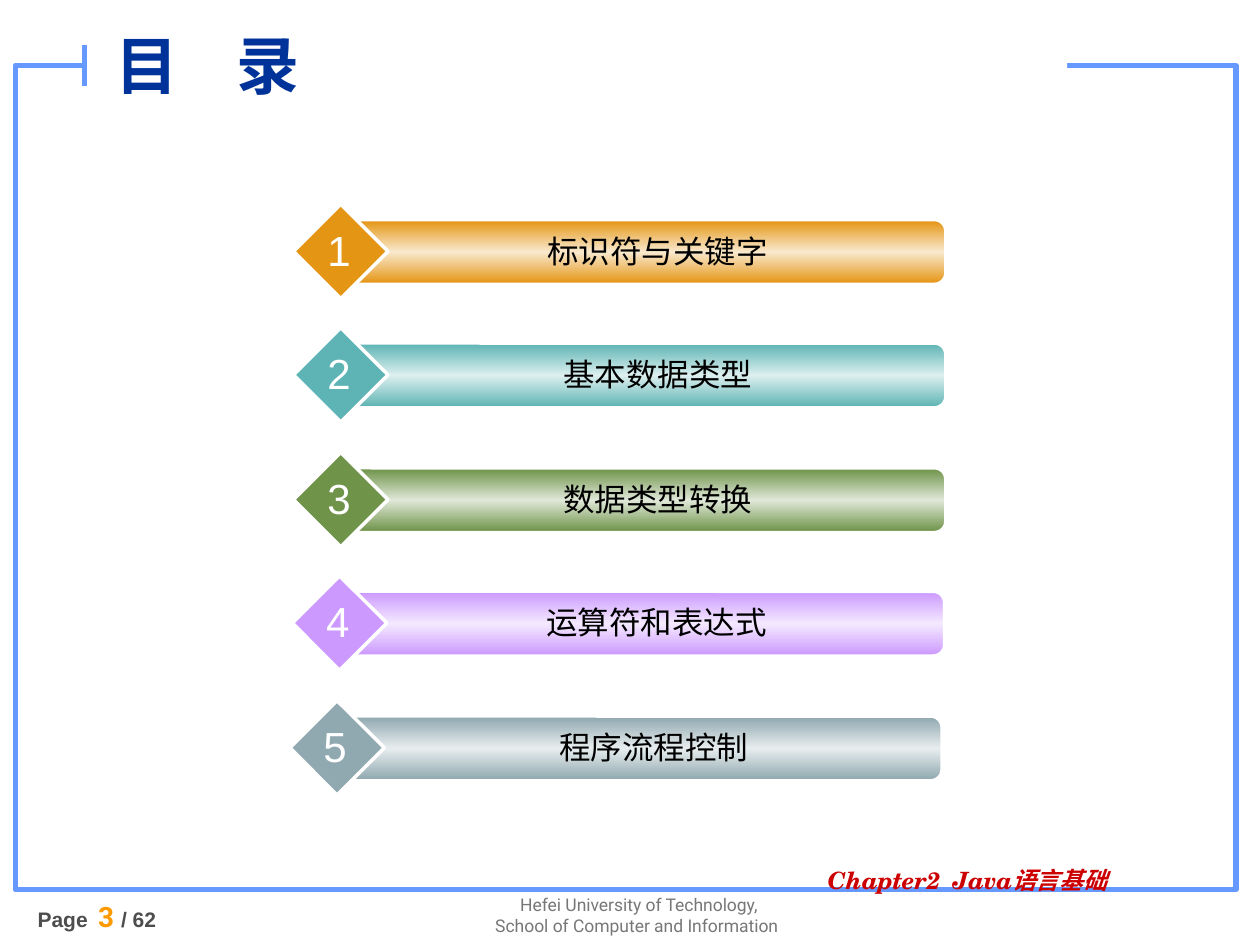
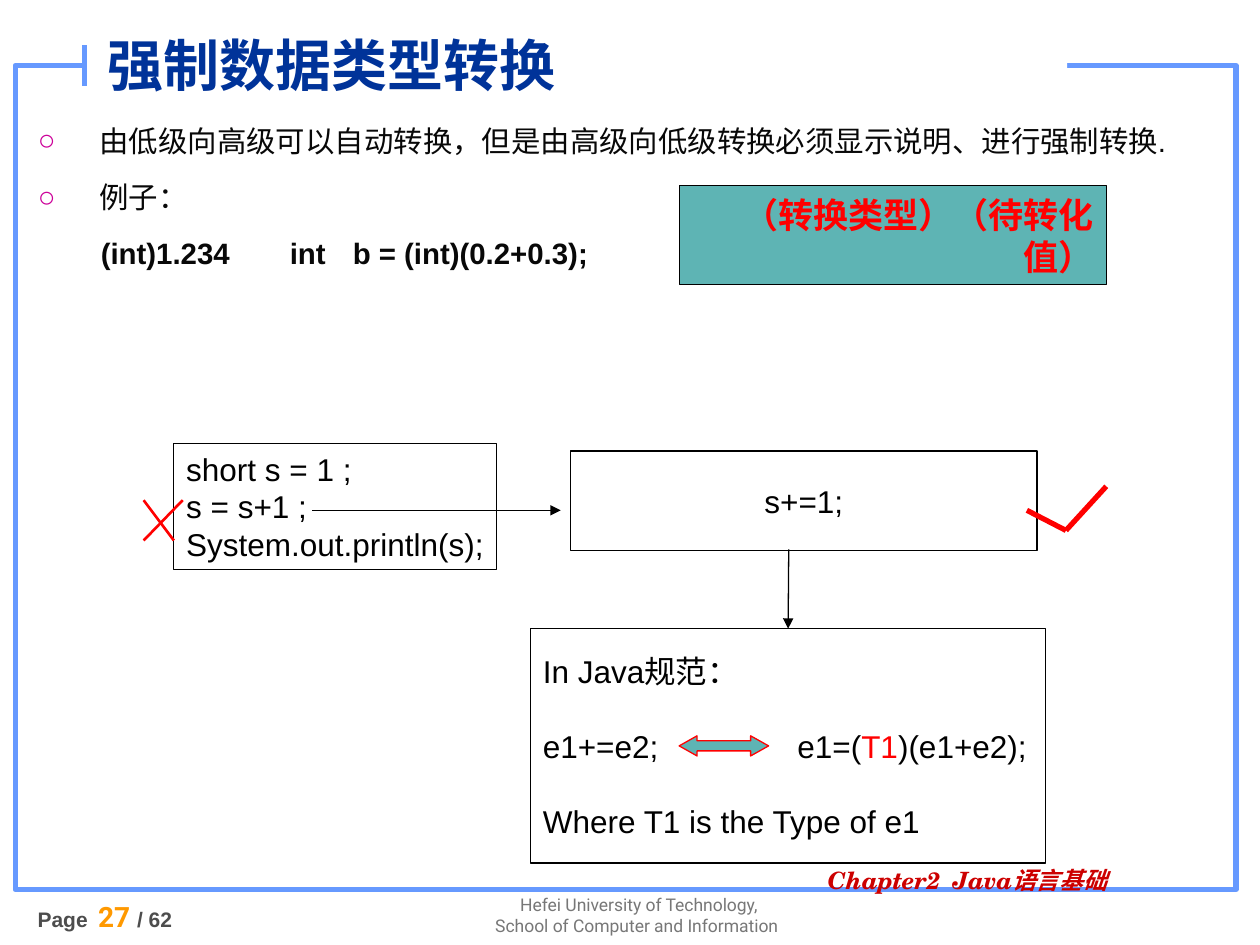
"""Build a contents slide and a type-casting slide of a Java course."""
from copy import deepcopy

from lxml import etree
from pptx import Presentation
from pptx.dml.color import RGBColor
from pptx.enum.shapes import MSO_CONNECTOR, MSO_SHAPE
from pptx.enum.text import MSO_ANCHOR, MSO_AUTO_SIZE, PP_ALIGN
from pptx.oxml.ns import qn
from pptx.util import Pt

EMU_PER_PX = 9144
TITLE_ONLY, TITLE_AND_BODY = 5, 1
TOP_SIDE = 0
STRAIGHT = MSO_CONNECTOR.STRAIGHT
RECT, ROUND_RECT = MSO_SHAPE.RECTANGLE, MSO_SHAPE.ROUNDED_RECTANGLE
DIAMOND, DOUBLE_ARROW = MSO_SHAPE.DIAMOND, MSO_SHAPE.LEFT_RIGHT_ARROW
LEFT, CENTER, RIGHT = PP_ALIGN.LEFT, PP_ALIGN.CENTER, PP_ALIGN.RIGHT
TOP, MIDDLE = MSO_ANCHOR.TOP, MSO_ANCHOR.MIDDLE
NO_AUTOFIT = MSO_AUTO_SIZE.NONE

ARIAL, ROBOTO, SCHOLA, CJK = "Arial", "Roboto", "TeX Gyre Schola", "Noto Sans CJK SC"
COLORS = {
    "white": "FFFFFF", "black": "000000", "red": "FF0000",
    "frame": "6699FF", "title": "003399", "body": "080808", "bullet": "CC0099",
    "school": "777777", "page": "4D4D4D", "number": "FF9900", "chapter": "CC0000",
    "orange": "E49514", "orange_pale": "F9E9CD",
    "teal": "5EB4B4", "teal_pale": "DDEFEF",
    "green": "6E9349", "green_pale": "E0E8D8",
    "violet": "CC99FF", "violet_pale": "F4E9FF",
    "slate": "90A8B0", "slate_pale": "E7EDEE",
}
TOPICS = [
    ("标识符与关键字", "orange", 275),
    ("基本数据类型", "teal", 275),
    ("数据类型转换", "green", 275),
    ("运算符和表达式", "violet", 274),
    ("程序流程控制", "slate", 272),
]
FIRST_BAR_TOP, BAR_PITCH = 175, 98.4
PAGE_COUNT = 62


def px(length):
    """Turn px into EMU."""
    return round(length * EMU_PER_PX)


def rgb(name):
    """Look up a named colour."""
    return RGBColor.from_string(COLORS[name])


def add_span(para, text, size=18, font=ARIAL, color="black", bold=False, italic=False):
    """Add formatted text to a paragraph."""
    span = para.add_run()
    span.text = text
    span.font.size = Pt(size)
    span.font.name = font
    span.font.color.rgb = rgb(color)
    span.font.bold = bold
    span.font.italic = italic


def set_tabs(para, stops):
    """Give a paragraph left tab stops."""
    tab_list = etree.SubElement(para._p.get_or_add_pPr(), qn("a:tabLst"))
    for stop in stops:
        etree.SubElement(tab_list, qn("a:tab"), pos=str(px(stop)), algn="l")


def set_bullet(para, char=None, indent=0):
    """Set a bullet with a hanging indent, or none."""
    props = para._p.get_or_add_pPr()
    props.set("marL", str(px(indent)))
    props.set("indent", str(-px(indent)))
    if char is None:
        etree.SubElement(props, qn("a:buNone"))
        return
    bullet_color = etree.SubElement(props, qn("a:buClr"))
    etree.SubElement(bullet_color, qn("a:srgbClr"), val=COLORS["bullet"])
    etree.SubElement(props, qn("a:buFont"), typeface=ARIAL)
    etree.SubElement(props, qn("a:buChar"), char=char)


def write(box, lines, align=LEFT, anchor=TOP, wrap=True, gap=0, spacing=None, tabs=(), **style):
    """Fill a box with lines, each a string or a list of (text, style) pairs."""
    frame = box.text_frame
    frame.word_wrap = wrap
    frame.auto_size = NO_AUTOFIT
    frame.vertical_anchor = anchor
    for index, line in enumerate(lines):
        para = frame.add_paragraph() if index else frame.paragraphs[0]
        para.alignment = align
        para.space_before = Pt(gap if index else 0)
        if spacing:
            para.line_spacing = spacing
        if tabs:
            set_tabs(para, tabs)
        for text, changes in [(line, {})] if isinstance(line, str) else line:
            add_span(para, text, **{**style, **changes})
    return box


class Deck:
    """Holds the presentation, its style and the current slide."""

    def __init__(self):
        """Open an empty presentation."""
        self.deck = Presentation()
        self.deck.slide_width, self.deck.slide_height = px(1000), px(750)
        self.page = None

    def start_page(self, layout, number):
        """Add a slide with the frame and footers."""
        self.page = self.deck.slides.add_slide(self.deck.slide_layouts[layout])
        self.shape(RECT, 12, 52, 969, 654, line="frame", weight=3)
        self.shape(RECT, 67, 28, 780, 35, fill="white")
        self.text(380, 705, 254, 60,
                  ["Hefei University of Technology,", "School of Computer and Information "],
                  align=CENTER, size=10, font=ROBOTO, color="school")
        number_style = {"size": 16, "font": ROBOTO, "color": "number"}
        self.text(20, 709, 181, 41,
                  [[("Page\t", {}), (f"{number} ", number_style), (f"/ {PAGE_COUNT}", {})]],
                  tabs=[48], size=12, color="page", bold=True)
        self.line(67, 36, 67, 68, "frame", 3)
        self.text(647, 685, 307, 35, ["Chapter2\tJava语言基础"], tabs=[99], spacing=0.9,
                  size=13.6, font=SCHOLA, color="chapter", bold=True, italic=True)

    def placeholder(self, index, left, top, width, height):
        """Move a placeholder into place, in front of the frame."""
        box = self.page.placeholders[index]
        self.page.shapes.element.append(box.element)
        box.left, box.top, box.width, box.height = map(px, (left, top, width, height))
        return box

    def title(self, text, left, width, size, tabs=()):
        """Write the slide title."""
        write(self.placeholder(0, left, 11, width, 80), [text], anchor=MIDDLE, tabs=tabs,
              size=size, color="title", bold=True)

    def shape(self, kind, left, top, width, height, fill=None, line=None, weight=0.75):
        """Add a preset shape."""
        box = self.page.shapes.add_shape(kind, *map(px, (left, top, width, height)))
        box.shadow.inherit = False
        if fill:
            box.fill.solid()
            box.fill.fore_color.rgb = rgb(fill)
        else:
            box.fill.background()
        if line:
            box.line.color.rgb = rgb(line)
            box.line.width = Pt(weight)
        else:
            box.line.fill.background()
        return box

    def bar(self, left, top, color):
        """Add a rounded bar that is pale along its middle."""
        box = self.shape(ROUND_RECT, left, top, 475, 50, line="white", weight=1)
        box.fill.gradient()
        box.fill.gradient_angle = 90
        stop_list = box.element.find(".//" + qn("a:gsLst"))
        stop_list.append(deepcopy(stop_list[0]))
        names = (color, f"{color}_pale", color)
        for stop, name, position in zip(box.fill.gradient_stops, names, (0, 0.5, 1)):
            stop.color.rgb = rgb(name)
            stop.position = position

    def text(self, left, top, width, height, lines, **style):
        """Add a text box."""
        box = self.page.shapes.add_textbox(*map(px, (left, top, width, height)))
        return write(box, lines, **style)

    def line(self, x1, y1, x2, y2, color, weight=0.75, arrow=False):
        """Add a straight line, with an arrowhead at its end if asked."""
        link = self.page.shapes.add_connector(STRAIGHT, *map(px, (x1, y1, x2, y2)))
        link.line.color.rgb = rgb(color)
        link.line.width = Pt(weight)
        props = link.element.spPr
        if arrow:
            etree.SubElement(props.find(qn("a:ln")), qn("a:tailEnd"), type="triangle")
        etree.SubElement(props, qn("a:effectLst"))
        return link


def build_contents(deck):
    """Build the contents slide."""
    deck.start_page(TITLE_ONLY, 3)
    deck.title("目\t录", 82, 449, 36, tabs=[96])
    for index, (topic, color, left) in enumerate(TOPICS):
        top = FIRST_BAR_TOP + round(index * BAR_PITCH)
        deck.bar(left, top, color)
        deck.shape(DIAMOND, left - 42, top - 13, 75, 75, fill=color, line="white", weight=2)
        deck.text(left + 25, top + 4, 444, 40, [topic], align=CENTER)
        deck.text(left - 25, top - 2, 38, 50, [str(index + 1)], align=CENTER, wrap=False,
                  size=24, color="white")


def build_casting(deck):
    """Build the slide on explicit type conversion."""
    deck.start_page(TITLE_AND_BODY, 27)
    deck.title("强制数据类型转换", 75, 677, 32)

    body = deck.placeholder(1, 20, 84, 953, 150)
    write(body, ["由低级向高级可以自动转换，但是由高级向低级转换必须显示说明、进行强制转换.",
                 "例子：",
                 [("\t(int)1.234\tint\tb = (int)(0.2+0.3);", {"bold": True})]],
          gap=6, spacing=1.3, size=16.8, color="body")
    *points, sample = body.text_frame.paragraphs
    for para in points:
        set_bullet(para, "○", 49)
    set_bullet(sample)
    set_tabs(sample, [49, 209, 257])

    code = deck.shape(RECT, 138, 352, 256, 100, line="black")
    write(code, ["short s = 1 ;", "s = s+1 ;", "System.out.println(s);"], wrap=False)
    deck.line(145, 397, 114, 429, "red", 1.5)
    deck.line(114, 397, 138, 429, "red", 1.5)
    deck.line(248, 405, 445, 405, "black", arrow=True)

    fixed = deck.shape(RECT, 453, 358, 370, 79, line="black")
    write(fixed, ["s+=1;"], align=CENTER, anchor=MIDDLE)
    deck.line(815, 405, 846, 421, "red", 3)
    deck.line(846, 421, 878, 386, "red", 3)

    rule = deck.shape(RECT, 421, 499, 409, 186, line="black")
    write(rule, ["In Java规范：",
                 [("e1+=e2;\te1=(", {}), ("T1", {"color": "red"}), (")(e1+e2);", {})],
                 "Where T1 is the Type of e1"], anchor=MIDDLE, gap=21.5, tabs=[202])
    deck.line(626, 436, 626, 499, "black", arrow=True).end_connect(rule, TOP_SIDE)
    equivalence = deck.shape(DOUBLE_ARROW, 539, 584, 71, 16, fill="teal", line="red")
    equivalence.adjustments[1] = 0.89

    syntax = deck.shape(RECT, 539, 147, 339, 79, fill="teal", line="black")
    write(syntax, ["（转换类型）（待转化值）"], align=RIGHT, anchor=MIDDLE,
          size=20, font=CJK, color="red", bold=True)


def main():
    """Build and save the deck."""
    deck = Deck()
    build_contents(deck)
    build_casting(deck)
    deck.deck.save("out.pptx")


if __name__ == "__main__":
    main()
